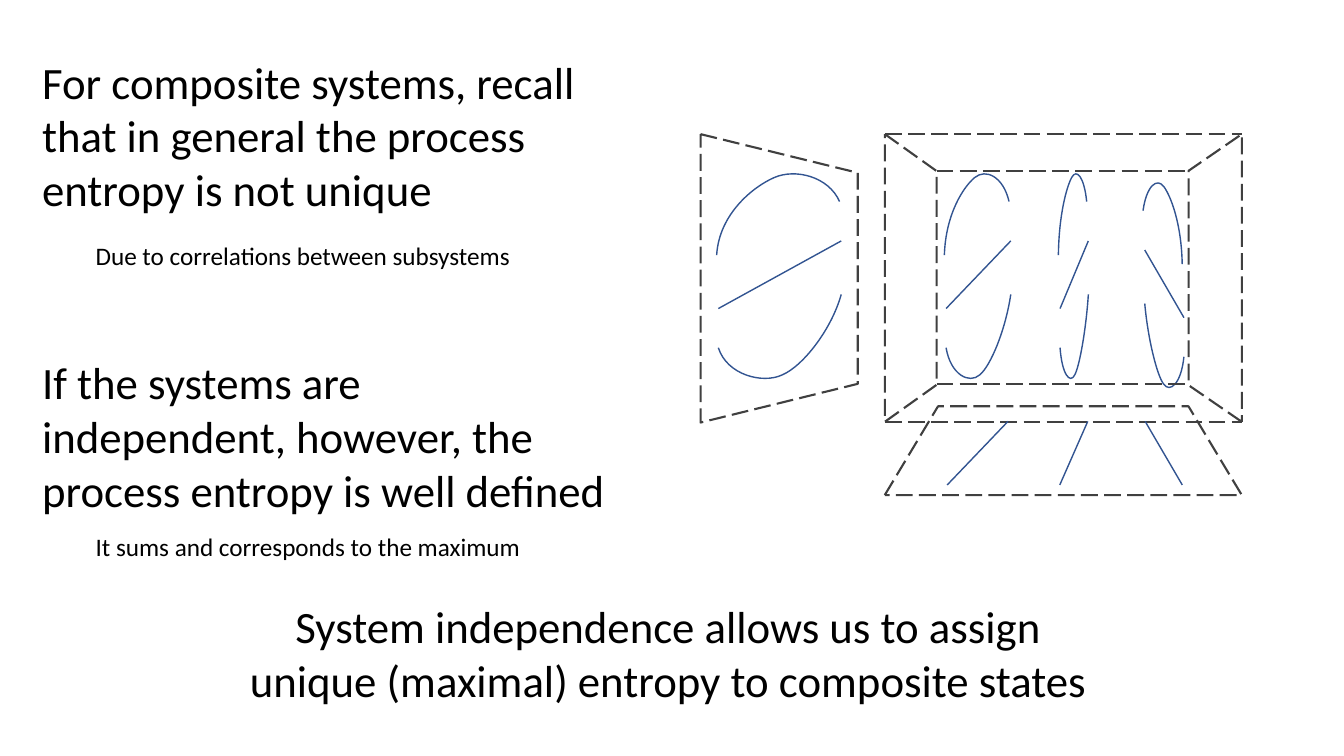
from dataclasses import dataclass

from lxml import etree
from pptx import Presentation
from pptx.dml.color import RGBColor
from pptx.enum.dml import MSO_LINE
from pptx.enum.shapes import MSO_CONNECTOR, MSO_SHAPE
from pptx.enum.text import MSO_AUTO_SIZE, PP_ALIGN
from pptx.oxml.ns import qn
from pptx.util import Pt

LONG_DASH = MSO_LINE.LONG_DASH
TRAPEZOID = MSO_SHAPE.TRAPEZOID
STRAIGHT = MSO_CONNECTOR.STRAIGHT
GROW = MSO_AUTO_SIZE.SHAPE_TO_FIT_TEXT
LEFT, CENTER = PP_ALIGN.LEFT, PP_ALIGN.CENTER


@dataclass(frozen=True)
class Theme:
    font: str = "Calibri"
    ink: RGBColor = RGBColor(0, 0, 0)
    wall: RGBColor = RGBColor(0x40, 0x40, 0x40)
    stroke: RGBColor = RGBColor(0x32, 0x54, 0x91)
    statement_size: int = 32
    remark_size: int = 18
    wall_width: float = 1.5
    stroke_width: float = 1


THEME = Theme()

UPPER_ARC = [(0, 86.4), (0.02, 56.9), (0.3, 37.4), (0.47, 31),
             (0.64, 24.5), (0.91, 30.2), (1, 48.2)]
LOWER_ARC = [(0, 152.6), (0.07, 172), (0.36, 178.6), (0.52, 172),
             (0.69, 165.6), (0.92, 139.7), (1, 114.5)]
DIAGONAL = [(0, 124.6), (1, 76.3)]
ARC_SHIFT = 1.2


def add_text(slide, box, *paragraphs, size=THEME.statement_size, align=LEFT, wrap=True):
    left, top, width, height = box
    frame = slide.shapes.add_textbox(Pt(left), Pt(top), Pt(width), Pt(height)).text_frame
    frame.word_wrap = wrap
    frame.auto_size = GROW
    for index, wording in enumerate(paragraphs):
        paragraph = frame.add_paragraph() if index else frame.paragraphs[0]
        paragraph.text = wording
        paragraph.alignment = align
        for run in paragraph.runs:
            run.font.name = THEME.font
            run.font.size = Pt(size)
            run.font.color.rgb = THEME.ink


def style_line(line, wall):
    line.color.rgb = THEME.wall if wall else THEME.stroke
    line.width = Pt(THEME.wall_width if wall else THEME.stroke_width)
    if wall:
        line.dash_style = LONG_DASH


def add_line(slide, start, end, wall=False):
    ends = [Pt(value) for value in (*start, *end)]
    connector = slide.shapes.add_connector(STRAIGHT, *ends)
    style_line(connector.line, wall)
    etree.SubElement(connector._element.spPr, qn("a:effectLst"))


def add_curve(slide, points):
    start, *rest = [(Pt(x), Pt(y)) for x, y in points]
    builder = slide.shapes.build_freeform(*start)
    builder.add_line_segments(rest, close=False)
    curve = builder.convert_to_shape()
    curve.shadow.inherit = False
    curve.fill.background()
    style_line(curve.line, False)
    steps = list(curve._element.iter(qn("a:lnTo")))
    for first in range(0, len(steps), 3):
        bezier = etree.Element(qn("a:cubicBezTo"))
        steps[first].addprevious(bezier)
        for step in steps[first:first + 3]:
            bezier.append(step[0])
            step.getparent().remove(step)


def add_wall(slide, box, inset, rotation=0):
    left, top, width, height = box
    if rotation:
        left, top = left + (width - height) / 2, top + (height - width) / 2
        width, height = height, width
    wall = slide.shapes.add_shape(TRAPEZOID, Pt(left), Pt(top), Pt(width), Pt(height))
    wall.rotation = rotation
    wall.adjustments[0] = inset
    wall.shadow.inherit = False
    wall.fill.background()
    style_line(wall.line, True)


def add_glyph(slide, left, top, span):
    def place(points, shift):
        return [(left + shift + u * span, top + y) for u, y in points]

    add_line(slide, *place(DIAGONAL, ARC_SHIFT))
    add_curve(slide, place(UPPER_ARC, 0))
    add_curve(slide, place(LOWER_ARC, ARC_SHIFT))


def add_side_panel(slide, box):
    left, top, width, height = box
    add_glyph(slide, left - 0.5 + 12, top, 87.8)
    add_wall(slide, box, 0.246, rotation=90)


def add_room(slide, box):
    left, top, width, height = box
    right, bottom = left + width, top + height
    depth_left, depth_right = 37, 38
    for offset, drop, span in ((42.6, 0, 46.2), (124, 0, 20.2), (212.5, 6.5, -28)):
        add_glyph(slide, left + offset, top + drop, span)
    add_wall(slide, (left, top, depth_left, height), 0.714, rotation=90)
    add_wall(slide, (right - depth_right, top, depth_right, height), 0.689, rotation=270)
    for y, inset_left, inset_right in ((top, 0, 0), (top + 26.4, depth_left, depth_right),
                                       (bottom - 27, depth_left, depth_right), (bottom, 0, 0)):
        add_line(slide, (left + inset_left, y), (right - inset_right, y), wall=True)


def add_floor(slide, box):
    left, top, width, height = box
    for foot, head in ((44.6, 88), (125, 145), (212.5, 186)):
        add_line(slide, (left + foot, top + 56.2), (left + head, top + 10.8))
    add_wall(slide, box, 0.6)


def add_point(slide, box, remark_gap, statement, remark):
    left, top, width, height = box
    add_text(slide, box, *statement)
    add_text(slide, (left + 38.2, top + height + remark_gap, 320, 29), remark,
             size=THEME.remark_size, wrap=False)


def main():
    deck = Presentation()
    deck.slide_width, deck.slide_height = Pt(960), Pt(540)
    slide = deck.slides.add_slide(deck.slide_layouts[6])
    add_point(slide, (23, 35.3, 424.8, 123.8), 8.7,
              ["For composite systems, recall",
               "that in general the process entropy is not unique"],
              "Due to correlations between subsystems")
    add_point(slide, (23, 249.8, 419.8, 123.8), 2.2,
              ["If the systems are independent, however, the process entropy is well defined"],
              "It sums and corresponds to the maximum")
    add_text(slide, (16.6, 424, 921.6, 85),
             "System independence allows us to assign\n"
             "unique (maximal) entropy to composite states", align=CENTER)
    add_side_panel(slide, (500.4, 95.8, 112.3, 206))
    add_room(slide, (632, 95.8, 255, 205.5))
    add_floor(slide, (632, 290.2, 255, 63.4))
    deck.save("out.pptx")


if __name__ == "__main__":
    main()
